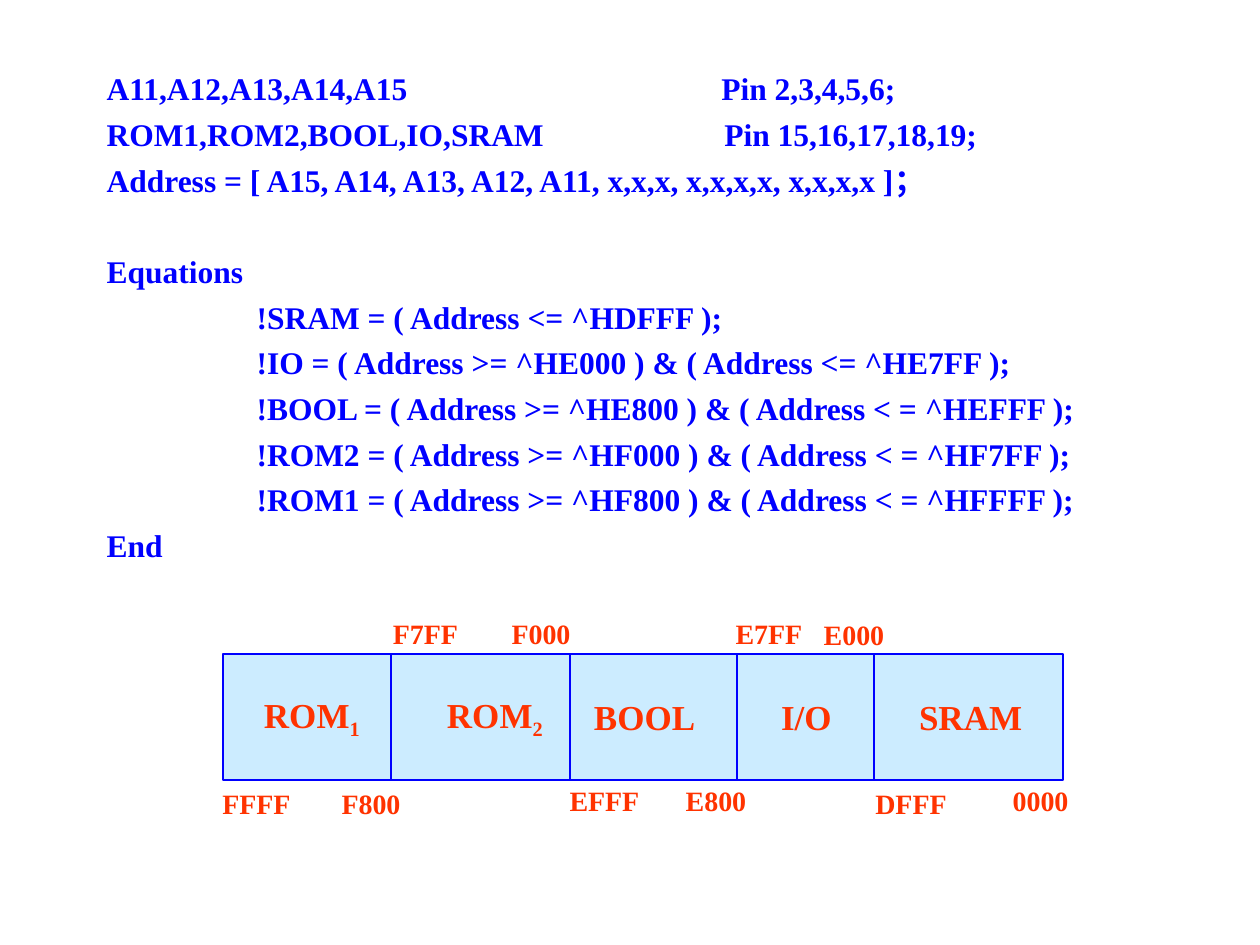
import dataclasses
import typing

import pptx
import pptx.dml.color
import pptx.enum.shapes
import pptx.enum.text
import pptx.oxml
import pptx.oxml.ns
import pptx.util

EMU_PER_PX = 914400 / 126
FONT = "Times New Roman"
COLORS = {"code": "0000FF", "label": "FF3300", "line": "0000FF", "fill": "CCECFF"}
LINE_GAP = 4.5
SECTION_GAP = 30.6
EQUATION_INDENT = 150


@dataclasses.dataclass
class CodeLine:
    text: str
    indent: int = 0
    gap: float = LINE_GAP


@dataclasses.dataclass
class Region:
    name: str
    subscript: str
    text_left: int
    right: int


@dataclasses.dataclass
class AddressLabel:
    text: str
    left: int
    top: int
    width: int


CODE_TOP = 63
CODE = [
    CodeLine("A11,A12,A13,A14,A15", gap=0),
    CodeLine("ROM1,ROM2,BOOL,IO,SRAM"),
    CodeLine("Address = [ A15, A14, A13, A12, A11, x,x,x, x,x,x,x, x,x,x,x ]；"),
    CodeLine("Equations", gap=SECTION_GAP),
    CodeLine("!SRAM = ( Address <= ^HDFFF );", EQUATION_INDENT),
    CodeLine("!IO = ( Address >= ^HE000 ) & ( Address <= ^HE7FF );", EQUATION_INDENT),
    CodeLine("!BOOL = ( Address >= ^HE800 ) & ( Address < = ^HEFFF );", EQUATION_INDENT),
    CodeLine("!ROM2 = ( Address >= ^HF000 ) & ( Address < = ^HF7FF );", EQUATION_INDENT),
    CodeLine("!ROM1 = ( Address >= ^HF800 ) & ( Address < = ^HFFFF );", EQUATION_INDENT),
    CodeLine("End"),
]
PINS = [
    CodeLine("Pin 2,3,4,5,6;", gap=0),
    CodeLine("Pin 15,16,17,18,19;", indent=3),
]

MAP_LEFT, MAP_TOP, MAP_WIDTH, MAP_HEIGHT = 223, 654, 840, 126
REGIONS = [
    Region("ROM", "1", 264, 391),
    Region("ROM", "2", 447, 570),
    Region("BOOL", "", 594, 737),
    Region("I/O", "", 781, 874),
    Region("SRAM", "", 919, MAP_LEFT + MAP_WIDTH),
]

LABEL_HEIGHT = 47
LABELS = [
    AddressLabel("FFFF", 210, 780, 93),
    AddressLabel("F800", 329, 780, 84),
    AddressLabel("F7FF", 381, 610, 89),
    AddressLabel("F000", 499, 610, 84),
    AddressLabel("EFFF", 557, 777, 95),
    AddressLabel("E800", 673, 777, 86),
    AddressLabel("E7FF", 723, 610, 92),
    AddressLabel("E000", 811, 611, 86),
    AddressLabel("DFFF", 863, 780, 96),
    AddressLabel("0000", 1000, 777, 81),
]


def px(length: int) -> int:
    return round(length * EMU_PER_PX)


def color(name: str) -> pptx.dml.color.RGBColor:
    return pptx.dml.color.RGBColor.from_string(COLORS[name])


def add_span(para, text: str, *, size: int, ink: str, subscript: bool = False) -> None:
    span = para.add_run()
    span.text = text
    span.font.name = FONT
    span.font.size = pptx.util.Pt(size)
    span.font.bold = True
    span.font.color.rgb = color(ink)
    if subscript:
        span.font._element.set("baseline", "-25000")


def add_textbox(page, left: int, top: int, width: int, height: int):
    box = page.shapes.add_textbox(px(left), px(top), px(width), px(height))
    box.text_frame.word_wrap = True
    return box


def write_code(frame, lines: typing.Sequence[CodeLine]) -> None:
    for index, line in enumerate(lines):
        para = frame.add_paragraph() if index else frame.paragraphs[0]
        properties = para._p.get_or_add_pPr()
        properties.set("marL", str(px(line.indent)))
        properties.set("indent", "0")
        properties.append(
            pptx.oxml.parse_xml(f"<a:buNone {pptx.oxml.ns.nsdecls('a')}/>"))
        para.space_before = pptx.util.Pt(line.gap)
        add_span(para, line.text, size=18, ink="code")


def add_code(page) -> None:
    box = page.placeholders[1]
    box.left, box.top, box.width, box.height = map(px, (94, CODE_TOP, 1071, 798))
    box.text_frame.auto_size = pptx.enum.text.MSO_AUTO_SIZE.NONE
    write_code(box.text_frame, CODE)
    pins = add_textbox(page, 709, CODE_TOP, 340, 95)
    write_code(pins.text_frame, PINS)


def add_map_frame(page) -> None:
    box = page.shapes.add_shape(
        pptx.enum.shapes.MSO_SHAPE.RECTANGLE,
        px(MAP_LEFT), px(MAP_TOP), px(MAP_WIDTH), px(MAP_HEIGHT))
    box.shadow.inherit = False
    box.fill.solid()
    box.fill.fore_color.rgb = color("fill")
    box.line.color.rgb = color("line")
    box.line.width = pptx.util.Pt(0.75)


def add_region_name(page, region: Region) -> None:
    box = add_textbox(page, region.text_left, MAP_TOP,
                      region.right - region.text_left, MAP_HEIGHT)
    frame = box.text_frame
    frame.margin_left = frame.margin_right = 0
    frame.vertical_anchor = pptx.enum.text.MSO_ANCHOR.MIDDLE
    para = frame.paragraphs[0]
    add_span(para, region.name, size=20, ink="label")
    if region.subscript:
        add_span(para, region.subscript, size=20, ink="label", subscript=True)


def add_label(page, label: AddressLabel) -> None:
    box = add_textbox(page, label.left, label.top, label.width, LABEL_HEIGHT)
    frame = box.text_frame
    frame.margin_left = frame.margin_right = 0
    para = frame.paragraphs[0]
    para.alignment = pptx.enum.text.PP_ALIGN.CENTER
    add_span(para, label.text, size=16, ink="label")


def add_divider(page, x: int) -> None:
    line = page.shapes.add_connector(
        pptx.enum.shapes.MSO_CONNECTOR.STRAIGHT,
        px(x), px(MAP_TOP), px(x), px(MAP_TOP + MAP_HEIGHT))
    line.line.color.rgb = color("line")
    line.line.width = pptx.util.Pt(0.75)
    line._element.spPr.append(
        pptx.oxml.parse_xml(f"<a:effectLst {pptx.oxml.ns.nsdecls('a')}/>"))


def main() -> None:
    deck = pptx.Presentation()
    deck.slide_width, deck.slide_height = px(1260), px(945)
    page = deck.slides.add_slide(deck.slide_layouts[1])
    title = page.shapes.title._element
    title.getparent().remove(title)

    # Pin declarations and equations
    add_code(page)

    # Memory map: frame, region names and dividers
    add_map_frame(page)
    for region in REGIONS:
        add_region_name(page, region)
    for region in REGIONS[:-1]:
        add_divider(page, region.right)

    # Address bounds above and below the map
    for label in LABELS:
        add_label(page, label)

    deck.save("out.pptx")


if __name__ == "__main__":
    main()
